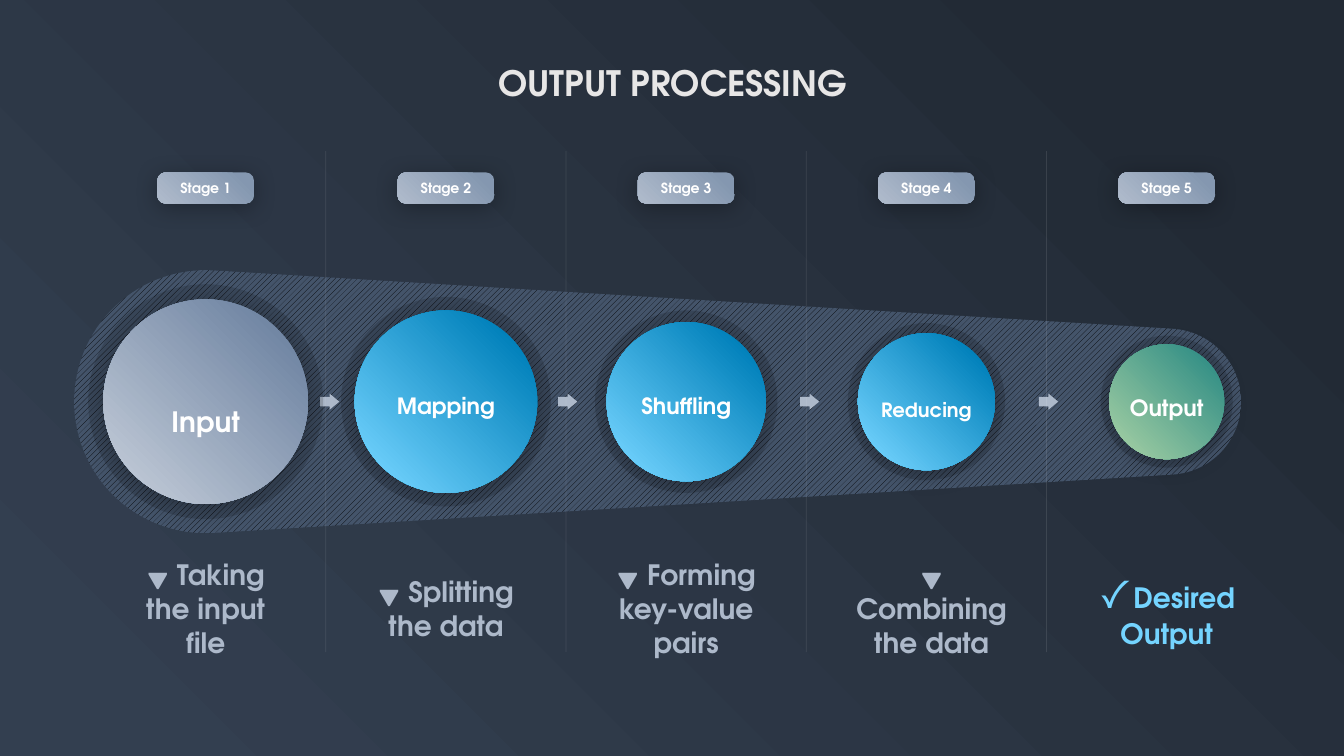
import math
from dataclasses import dataclass

import lxml.etree
import pptx
import pptx.dml.color
import pptx.dml.fill
import pptx.enum.dml
import pptx.enum.shapes
import pptx.enum.text
import pptx.oxml.ns
import pptx.shapes.autoshape
import pptx.slide
import pptx.text.text
import pptx.util

Inches = pptx.util.Inches
SHAPE = pptx.enum.shapes.MSO_SHAPE
FONT = "TeX Gyre Adventor"
COLORS = {
    "night": "222A35", "dusk": "333F50", "band": "44546A", "black": "000000",
    "white": "FFFFFF", "title": "E7E6E6", "mist": "ADB9CA", "steel": "8497B0",
    "slate": "7085A3", "silver": "C2CBD8", "blue": "0080BA", "sky": "74D4FF",
    "teal": "359086", "mint": "A2CEA3",
}
FIRST_CENTER = 2.04
STAGE_STEP = 2.383
AXIS = 3.985
TAG_SIZE = (0.96, 0.31)
ARROW_SIZE = (0.16, 0.19)
ARROW_CENTERS = (3.27, 5.63, 8.03, 10.4)
FIRST_DIVIDER = 3.23
WIDE_INSETS = (0.1, 0, 0.1, 0.05)
NARROW_INSETS = (0, 0.05, 0, 0.05)


@dataclass(frozen=True)
class Stage:
    name: str
    caption: str
    ring: float
    disc: float
    gradient: tuple[str, str]
    size: int = 16
    insets: tuple[float, float, float, float] = WIDE_INSETS
    marker: str = "▼"
    marker_size: int = 18
    caption_color: str = "mist"
    caption_center: float = 0
    caption_size: tuple[float, float] = (1.63, 0.71)


STAGES = (
    Stage("Input", " Taking the input file", 2.33, 2.03, ("slate", "silver"), 20, (0.1, 0.39, 0.1, 0.05)),
    Stage("Mapping", " Splitting the data", 2.08, 1.81, ("blue", "sky")),
    Stage("Shuffling", " Forming key-value pairs", 1.81, 1.58, ("blue", "sky")),
    Stage("Reducing", " Combining the data", 1.56, 1.36, ("blue", "sky"), 14, NARROW_INSETS,
          caption_center=0.05, caption_size=(1.72, 0.71)),
    Stage("Output", "Desired Output", 1.31, 1.14, ("teal", "mint"), 16, NARROW_INSETS,
          "✓", 30, "sky", caption_size=(1.63, 0.87)),
)


def rgb(color: str) -> pptx.dml.color.RGBColor:
    return pptx.dml.color.RGBColor.from_string(COLORS[color])


def add_child(parent: lxml.etree._Element, tag: str, **attributes: str) -> lxml.etree._Element:
    return lxml.etree.SubElement(parent, pptx.oxml.ns.qn(tag), attributes)


def set_alpha(parent: lxml.etree._Element, percent: int) -> None:
    for color in parent.iter(pptx.oxml.ns.qn("a:srgbClr")):
        add_child(color, "a:alpha", val=str(percent * 1000))


def apply_gradient(fill: pptx.dml.fill.FillFormat, colors: tuple[str, str]) -> None:
    fill.gradient()
    fill.gradient_angle = 225
    for stop, color, position in zip(fill.gradient_stops, colors, (0.13, 0.94)):
        stop.color.rgb = rgb(color)
        stop.position = position


def style_run(run: pptx.text.text._Run, size: int, color: str, bold: bool = True) -> None:
    run.font.name = FONT
    run.font.size = pptx.util.Pt(size)
    run.font.bold = bold
    run.font.color.rgb = rgb(color)


def center_text(frame: pptx.text.text.TextFrame, insets: tuple[float, float, float, float]) -> None:
    frame.margin_left, frame.margin_top, frame.margin_right, frame.margin_bottom = map(Inches, insets)
    frame.vertical_anchor = pptx.enum.text.MSO_ANCHOR.MIDDLE
    frame.paragraphs[0].alignment = pptx.enum.text.PP_ALIGN.CENTER


def centered_box(x: float, y: float, width: float, height: float) -> tuple[pptx.util.Length, ...]:
    return Inches(x - width / 2), Inches(y - height / 2), Inches(width), Inches(height)


def add_plain(slide: pptx.slide.Slide, kind: SHAPE, x: float, y: float,
              width: float, height: float) -> pptx.shapes.autoshape.Shape:
    shape = slide.shapes.add_shape(kind, *centered_box(x, y, width, height))
    shape.line.fill.background()
    shape.shadow.inherit = False
    return shape


def add_raised(slide: pptx.slide.Slide, kind: SHAPE, x: float, y: float, size: tuple[float, float],
               gradient: tuple[str, str], text: str, text_size: int,
               insets: tuple[float, float, float, float]) -> pptx.shapes.autoshape.Shape:
    shape = add_plain(slide, kind, x, y, *size)
    apply_gradient(shape.fill, gradient)
    effects = shape._element.spPr.find(pptx.oxml.ns.qn("a:effectLst"))
    shadow = add_child(effects, "a:outerShdw", blurRad=str(pptx.util.Pt(17)),
                       dist=str(pptx.util.Pt(3)), dir="5400000", algn="t", rotWithShape="0")
    add_child(shadow, "a:srgbClr", val=COLORS["black"])
    set_alpha(shadow, 30)
    shape.text_frame.text = text
    shape.text_frame.word_wrap = False
    center_text(shape.text_frame, insets)
    style_run(shape.text_frame.paragraphs[0].runs[0], text_size, "white")
    return shape


def add_band(slide: pptx.slide.Slide) -> None:
    left_radius, right_radius = 1.305, 0.725
    left_x, right_x = FIRST_CENTER, 11.585
    tangent = math.acos((left_radius - right_radius) / (right_x - left_x))
    steps = 60
    points = []
    for x, radius, start, end in (
        (left_x, left_radius, tangent, 2 * math.pi - tangent),
        (right_x, right_radius, -tangent, tangent),
    ):
        for step in range(steps + 1):
            angle = start + (end - start) * step / steps
            points.append((Inches(x + radius * math.cos(angle)), Inches(AXIS + radius * math.sin(angle))))
    builder = slide.shapes.build_freeform(*points[0])
    builder.add_line_segments(points[1:], close=True)
    band = builder.convert_to_shape()
    band.shadow.inherit = False
    band.line.fill.background()
    band.fill.patterned()
    band.fill.pattern = pptx.enum.dml.MSO_PATTERN.WIDE_UPWARD_DIAGONAL
    band.fill.fore_color.rgb = rgb("black")
    band.fill.back_color.rgb = rgb("band")


def add_arrow(slide: pptx.slide.Slide, x: float) -> None:
    arrow = add_plain(slide, SHAPE.UP_ARROW, x, AXIS, *ARROW_SIZE)
    arrow.rotation = 90
    arrow.adjustments[0], arrow.adjustments[1] = 0.595, 0.602
    arrow.fill.solid()
    arrow.fill.fore_color.rgb = rgb("mist")


def add_divider(slide: pptx.slide.Slide, x: float) -> None:
    divider = slide.shapes.add_connector(pptx.enum.shapes.MSO_CONNECTOR.STRAIGHT,
                                         Inches(x), Inches(1.5), Inches(x), Inches(6.47))
    divider.line.width = pptx.util.Pt(0.5)
    divider.line.color.rgb = rgb("white")
    set_alpha(divider._element.spPr, 10)
    add_child(divider._element.spPr, "a:effectLst")


def add_title(slide: pptx.slide.Slide) -> None:
    frame = slide.shapes.add_textbox(Inches(3.46), Inches(0.55), Inches(6.42), Inches(0.6)).text_frame
    frame.word_wrap = True
    frame.text = "OUTPUT PROCESSING"
    center_text(frame, (0, 0, 0, 0))
    frame.paragraphs[0].line_spacing = 0.9
    style_run(frame.paragraphs[0].runs[0], 25, "title")


def add_stage(slide: pptx.slide.Slide, stage: Stage, number: int, x: float) -> None:
    ring = add_plain(slide, SHAPE.OVAL, x, AXIS, stage.ring, stage.ring)
    ring.fill.solid()
    ring.fill.fore_color.rgb = rgb("black")
    set_alpha(ring._element.spPr, 15)

    tag = add_raised(slide, SHAPE.ROUNDED_RECTANGLE, x, 1.865, TAG_SIZE, ("steel", "mist"),
                     f"Stage {number}", 10, (0.1, 0.05, 0.1, 0.05))
    tag.adjustments[0] = 0.269

    disc = add_raised(slide, SHAPE.OVAL, x, AXIS, (stage.disc, stage.disc), stage.gradient,
                      stage.name, stage.size, stage.insets)
    disc.text_frame.paragraphs[0].line_spacing = pptx.util.Pt(28)

    box = centered_box(x + stage.caption_center, 6.035, *stage.caption_size)
    frame = slide.shapes.add_textbox(*box).text_frame
    frame.word_wrap = True
    frame.text = stage.marker
    center_text(frame, (0.1, 0.05, 0.1, 0.05))
    paragraph = frame.paragraphs[0]
    style_run(paragraph.runs[0], stage.marker_size, stage.caption_color, bold=False)
    caption = paragraph.add_run()
    caption.text = stage.caption
    style_run(caption, 20, stage.caption_color)


def main() -> None:
    presentation = pptx.Presentation()
    presentation.slide_width = Inches(13.33)
    presentation.slide_height = Inches(7.5)
    slide = presentation.slides.add_slide(presentation.slide_layouts[6])
    apply_gradient(slide.background.fill, ("night", "dusk"))
    add_band(slide)
    for x in ARROW_CENTERS:
        add_arrow(slide, x)
    for index in range(len(STAGES) - 1):
        add_divider(slide, FIRST_DIVIDER + index * STAGE_STEP)
    add_title(slide)
    for index, stage in enumerate(STAGES):
        add_stage(slide, stage, index + 1, FIRST_CENTER + index * STAGE_STEP)
    presentation.save("out.pptx")


if __name__ == "__main__":
    main()
